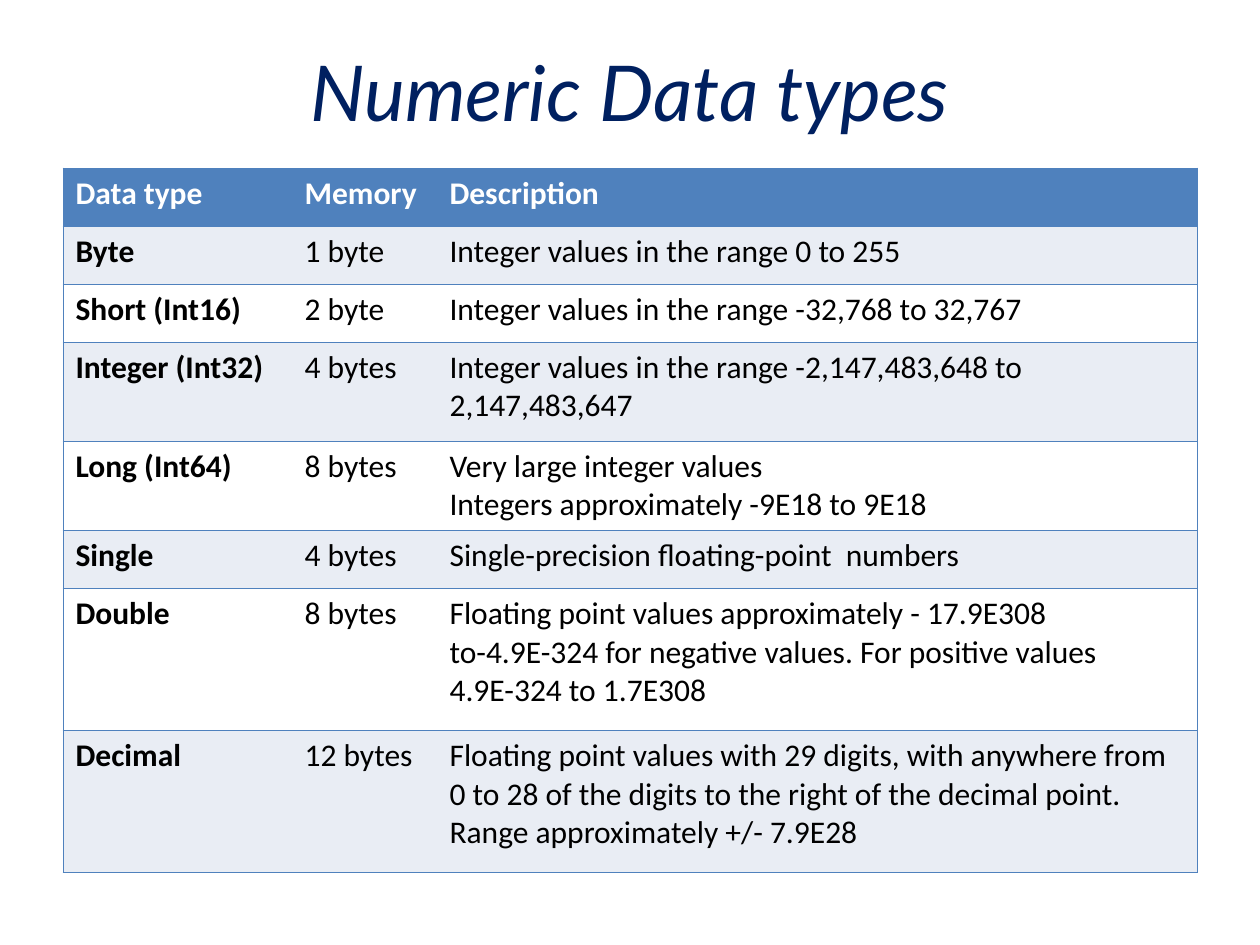
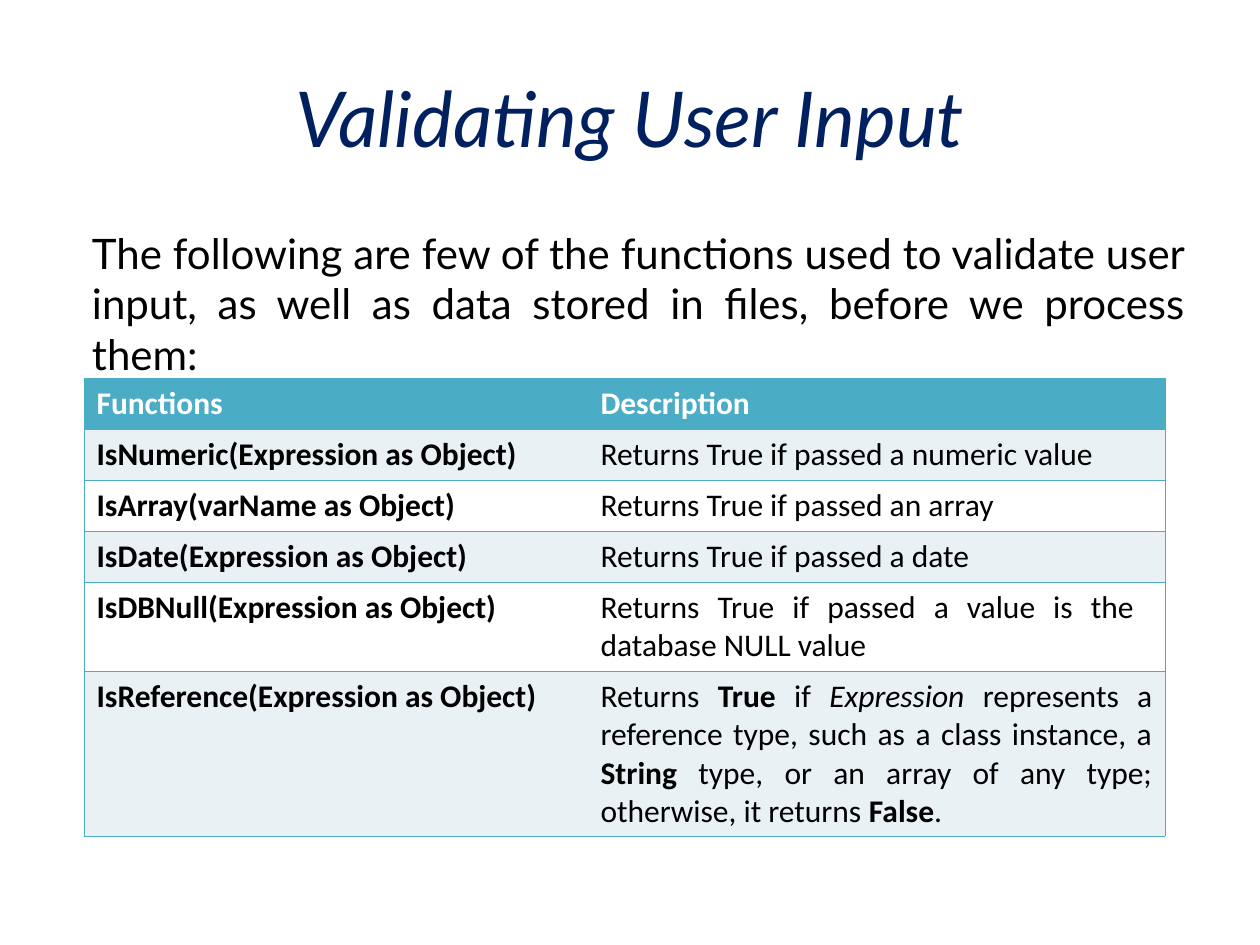
from lxml import etree
from pptx import Presentation
from pptx.dml.color import RGBColor
from pptx.enum.text import MSO_ANCHOR, PP_ALIGN
from pptx.oxml.ns import qn
from pptx.util import Emu, Pt

TOP, MIDDLE = MSO_ANCHOR.TOP, MSO_ANCHOR.MIDDLE
LEFT, CENTER, JUSTIFY = PP_ALIGN.LEFT, PP_ALIGN.CENTER, PP_ALIGN.JUSTIFY

COLORS = {
    "title": "002060",
    "text": "000000",
    "white": "FFFFFF",
    "blue": "4F81BD",
    "blue_band": "E9EDF4",
    "teal": "4BACC6",
    "teal_band": "E9F1F5",
}
TEXT_FONT, TABLE_FONT = "Lato", "Calibri"
PX_PER_INCH = 126
TITLE_BOX = (63, 38, 1134, 157)
BORDER_WIDTH = Pt(0.45)

NUMERIC_TYPES = [
    ("Data type", "Memory", "Description"),
    ("Byte", "1 byte", "Integer values in the range 0 to 255"),
    ("Short (Int16)", "2 byte", "Integer values in the range -32,768 to 32,767"),
    ("Integer (Int32)", "4 bytes",
     "Integer values in the range -2,147,483,648 to 2,147,483,647"),
    ("Long (Int64)", "8 bytes",
     "Very large integer values\nIntegers approximately -9E18 to 9E18"),
    ("Single", "4 bytes", "Single-precision floating-point  numbers"),
    ("Double", "8 bytes",
     "Floating point values approximately - 17.9E308 to-4.9E-324 "
     "for negative values. For positive values 4.9E-324 to 1.7E308"),
    ("Decimal", "12 bytes",
     "Floating point values with 29 digits, with anywhere from 0 to 28 of the "
     "digits to the right of the decimal point. Range approximately +/- 7.9E28"),
]

REFERENCE_SPANS = [
    ("Returns ", ""),
    ("True", "bold"),
    (" if ", ""),
    ("Expression", "italic"),
    (" represents a reference type, such as a class instance, a ", ""),
    ("String", "bold"),
    (" type, or an array of any type; otherwise, it returns ", ""),
    ("False", "bold"),
    (".", ""),
]
VALIDATION_FUNCTIONS = [
    ("Functions", "Description"),
    ("IsNumeric(Expression as Object)", "Returns True if passed a numeric value"),
    ("IsArray(varName as Object)", "Returns True if passed an array"),
    ("IsDate(Expression as Object)", "Returns True if passed a date"),
    ("IsDBNull(Expression as Object)",
     "Returns True if passed a value is the  database NULL value"),
    ("IsReference(Expression as Object)", REFERENCE_SPANS),
]


def px(length):
    return Emu(round(length * 914400 / PX_PER_INCH))


def rgb(name):
    return RGBColor.from_string(COLORS[name])


def add_span(para, text, font, size, color, bold=False, italic=False):
    span = para.add_run()
    span.text = text
    span.font.name = font
    span.font.size = Pt(size)
    span.font.color.rgb = rgb(color)
    span.font.bold = bold
    span.font.italic = italic


def add_text_box(page, area, anchor, align):
    box = page.shapes.add_textbox(*map(px, area))
    frame = box.text_frame
    frame.word_wrap = True
    frame.vertical_anchor = anchor
    frame.paragraphs[0].alignment = align
    return frame


def add_title(page, text, anchor):
    frame = add_text_box(page, TITLE_BOX, anchor, CENTER)
    add_span(frame.paragraphs[0], text, TEXT_FONT, 44, "title", italic=True)


def add_intro(page, area, text):
    frame = add_text_box(page, area, TOP, JUSTIFY)
    frame.margin_left = px(29)
    add_span(frame.paragraphs[0], text, TEXT_FONT, 24, "text")


def set_borders(cell, color, is_first, is_last):
    properties = cell._tc.get_or_add_tcPr()
    sides = {"lnL": is_first, "lnR": is_last, "lnT": True, "lnB": True}
    for side, visible in sides.items():
        line = etree.SubElement(properties, qn(f"a:{side}"), w=str(BORDER_WIDTH))
        if visible:
            fill = etree.SubElement(line, qn("a:solidFill"))
            etree.SubElement(fill, qn("a:srgbClr"), val=COLORS[color])
        else:
            etree.SubElement(line, qn("a:noFill"))


def fill_cell(cell, content, color, bold, align):
    if isinstance(content, str):
        paragraphs = [[(line, "")] for line in content.split("\n")]
    else:
        paragraphs = [content]
    frame = cell.text_frame
    for index, spans in enumerate(paragraphs):
        para = frame.add_paragraph() if index else frame.paragraphs[0]
        para.alignment = align
        for text, style in spans:
            add_span(para, text, TABLE_FONT, 18, color,
                     bold or style == "bold", style == "italic")


def add_data_table(page, origin, widths, heights, rows, accent, align):
    area = (*origin, sum(widths), sum(heights))
    table = page.shapes.add_table(len(rows), len(widths), *map(px, area)).table
    for column, width in zip(table.columns, widths):
        column.width = px(width)
    for row, height in zip(table.rows, heights):
        row.height = px(height)
    for row_index, row in enumerate(rows):
        is_header = row_index == 0
        band = f"{accent}_band" if row_index % 2 else "white"
        for column_index, content in enumerate(row):
            cell = table.cell(row_index, column_index)
            is_first = column_index == 0
            set_borders(cell, accent, is_first, column_index == len(widths) - 1)
            cell.fill.solid()
            cell.fill.fore_color.rgb = rgb(accent if is_header else band)
            fill_cell(cell, content, "white" if is_header else "text",
                      is_header or is_first, align)


def build_numeric_types(page):
    add_data_table(page, (63, 168), (229, 145, 760),
                   (58, 58, 58, 99, 88, 58, 142, 142),
                   NUMERIC_TYPES, "blue", LEFT)
    add_title(page, "Numeric Data types", TOP)


def build_validation(page):
    add_title(page, "Validating User Input", MIDDLE)
    add_intro(page, (63, 221, 1134, 661),
              "The following are few of the functions used to validate user input, "
              "as well as data stored in files, before we process them:")
    add_data_table(page, (84, 378), (504, 577), (51, 51, 51, 51, 89, 165),
                   VALIDATION_FUNCTIONS, "teal", JUSTIFY)


def main():
    deck = Presentation()
    deck.slide_width, deck.slide_height = px(1260), px(945)
    for build in (build_numeric_types, build_validation):
        build(deck.slides.add_slide(deck.slide_layouts[6]))
    deck.save("out.pptx")


if __name__ == "__main__":
    main()
